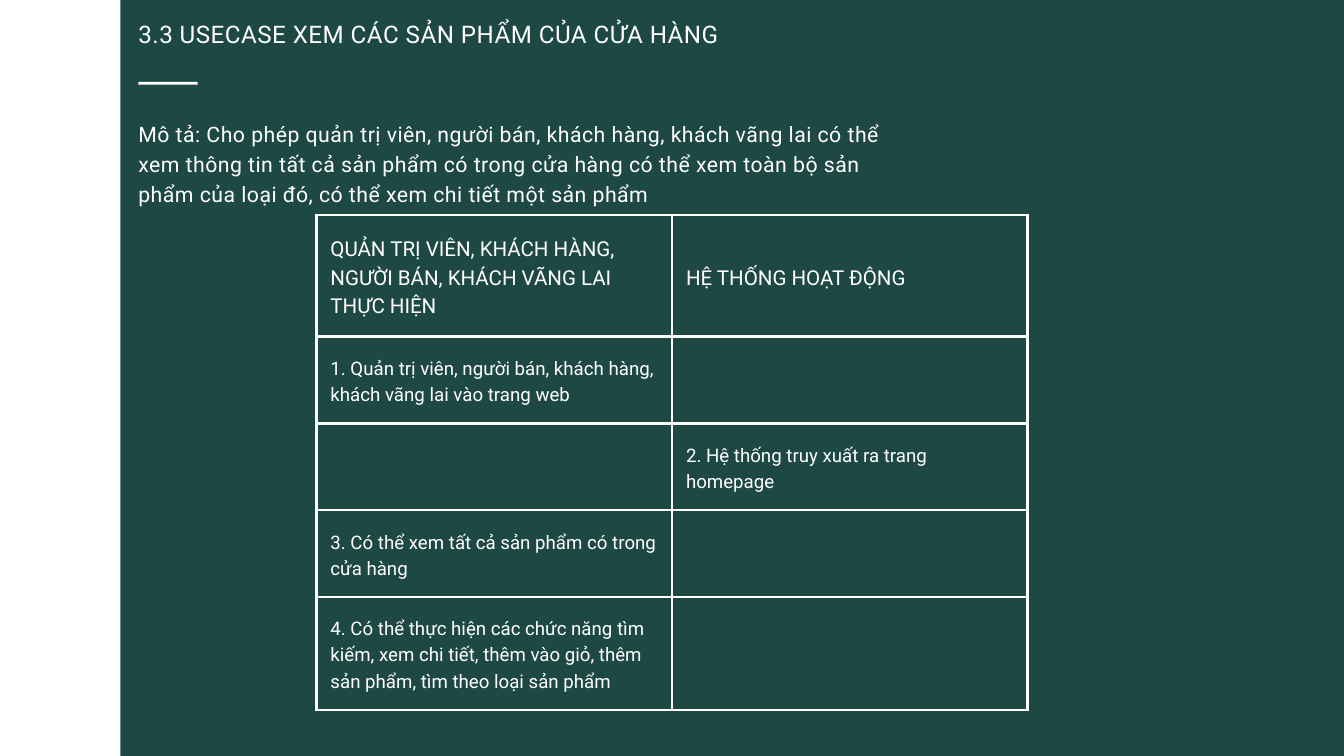
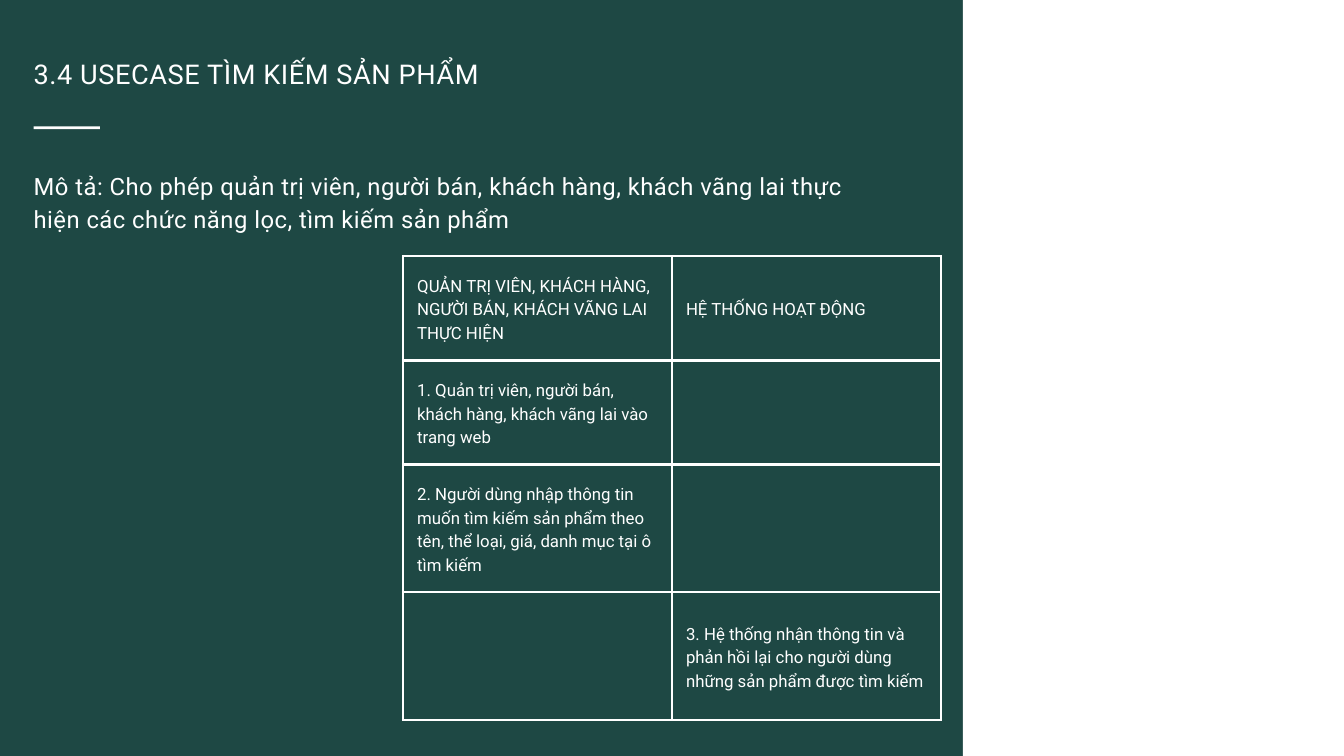
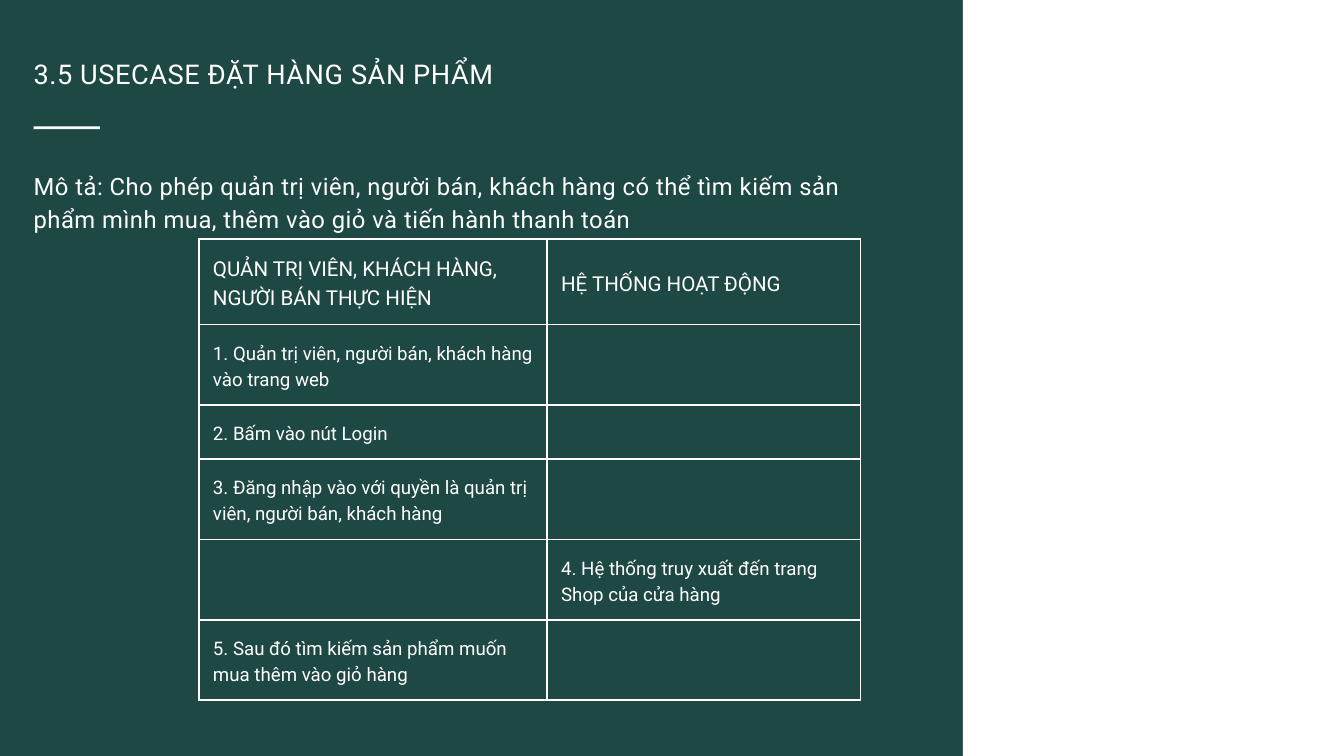
from dataclasses import dataclass

from lxml.etree import SubElement
from pptx import Presentation
from pptx.dml.color import RGBColor
from pptx.enum.shapes import MSO_SHAPE as Preset
from pptx.enum.text import MSO_ANCHOR as Anchor, MSO_AUTO_SIZE as AutoSize, PP_ALIGN as Align
from pptx.oxml.ns import qn
from pptx.util import Cm, Pt

# Shared look
GREEN = "1E4844"
WHITE = "FFFFFF"
FONT = "Roboto"
LEADING = 1.4
PAGE_WIDTH, PAGE_HEIGHT = 50.8, 28.58
CELL_MARGIN = 0.53
ACTORS = "QUẢN TRỊ VIÊN, KHÁCH HÀNG, NGƯỜI BÁN"
SYSTEM_HEADING = "HỆ THỐNG HOẠT ĐỘNG"


@dataclass
class Arrangement:
    """Where the white band and the heading block sit, in centimetres."""
    band_left: float
    band_width: float
    text_left: float
    text_width: float
    title_top: float
    title_height: float
    title_size: float
    title_tracking: float
    rule_top: float
    rule_width: float
    body_top: float
    body_height: float
    body_size: float


BAND_LEFT = Arrangement(0, 4.55, 5.23, 28.12, 0.56, 1.2, 25.9, 0.5,
                        3.1, 2.24, 4.42, 4.37, 22.8)
BAND_RIGHT = Arrangement(36.4, 14.4, 1.27, 31.55, 1.96, 1.32, 29.1, 0.6,
                         4.78, 2.51, 6.3, 3.63, 25.5)


def color(value):
    return RGBColor.from_string(value)


def write(frame, text, size, tracking=0.0):
    """Put one left-aligned paragraph of white text into a text frame."""
    para = frame.paragraphs[0]
    properties = para._p.get_or_add_pPr()
    properties.set("marL", "0")
    properties.set("indent", "0")
    SubElement(properties, qn("a:buNone"))
    para.alignment = Align.LEFT
    para.line_spacing = Pt(size * LEADING)
    para.space_before = Pt(0)
    span = para.add_run()
    span.text = text
    span.font.name = FONT
    span.font.size = Pt(size)
    span.font.color.rgb = color(WHITE)
    if tracking:
        span._r.get_or_add_rPr().set("spc", str(round(tracking * 100)))


def fill_placeholder(box, left, top, width, height, text, size, tracking):
    box.left, box.top = Cm(left), Cm(top)
    box.width, box.height = Cm(width), Cm(height)
    frame = box.text_frame
    frame.margin_left = frame.margin_right = frame.margin_top = frame.margin_bottom = 0
    frame.vertical_anchor = Anchor.TOP
    frame.word_wrap = True
    frame.auto_size = AutoSize.NONE
    write(frame, text, size, tracking)


def add_white_bar(page, left, top, width, height):
    bar = page.shapes.add_shape(Preset.RECTANGLE, Cm(left), Cm(top), Cm(width), Cm(height))
    bar.shadow.inherit = False
    bar.fill.solid()
    bar.fill.fore_color.rgb = color(WHITE)
    bar.line.fill.background()


def add_page(deck, arrangement, title, description):
    """Add a slide with its band, title, rule and description."""
    page = deck.slides.add_slide(deck.slide_layouts[1])
    look = arrangement
    add_white_bar(page, look.band_left, 0, look.band_width, PAGE_HEIGHT)
    add_white_bar(page, look.text_left, look.rule_top, look.rule_width, 0.1)
    fill_placeholder(page.shapes.title, look.text_left, look.title_top, look.text_width,
                     look.title_height, title, look.title_size, look.title_tracking)
    fill_placeholder(page.placeholders[1], look.text_left, look.body_top, look.text_width,
                     look.body_height, description, look.body_size, 0.5)
    return page


def outline_cell(cell, weight):
    properties = cell._tc.get_or_add_tcPr()
    for side in ("a:lnL", "a:lnR", "a:lnT", "a:lnB"):
        line = SubElement(properties, qn(side), w=str(Pt(weight)))
        fill = SubElement(line, qn("a:solidFill"))
        SubElement(fill, qn("a:srgbClr"), val=WHITE)
    cell.fill.background()


def add_steps_table(page, left, top, widths, heights, heading, steps,
                    heading_size, step_size, weight):
    """Add a table of steps; each step is (column, text)."""
    table = page.shapes.add_table(len(heights), len(widths), Cm(left), Cm(top),
                                  Cm(sum(widths)), Cm(sum(heights))).table
    table.first_row = table.horz_banding = False
    for column, width in zip(table.columns, widths):
        column.width = Cm(width)
    for row, height in zip(table.rows, heights):
        row.height = Cm(height)
    for cell in table.iter_cells():
        outline_cell(cell, weight)
        cell.vertical_anchor = Anchor.MIDDLE
        cell.margin_left = cell.margin_right = Cm(CELL_MARGIN)
        cell.margin_top = cell.margin_bottom = Cm(CELL_MARGIN)
    for column, text in enumerate((heading, SYSTEM_HEADING)):
        write(table.cell(0, column).text_frame, text, heading_size)
    for row, (column, text) in enumerate(steps, start=1):
        write(table.cell(row, column).text_frame, f"{row}. {text}", step_size)


def main():
    deck = Presentation()
    deck.slide_width, deck.slide_height = Cm(PAGE_WIDTH), Cm(PAGE_HEIGHT)
    backdrop = deck.slide_master.background.fill
    backdrop.solid()
    backdrop.fore_color.rgb = color(GREEN)

    # Viewing products
    page = add_page(
        deck, BAND_LEFT, "3.3 USECASE XEM CÁC SẢN PHẨM CỦA CỬA HÀNG",
        "Mô tả: Cho phép quản trị viên, người bán, khách hàng, khách vãng lai có thể xem "
        "thông tin tất cả sản phẩm có trong cửa hàng có thể xem toàn bộ sản phẩm của loại "
        "đó, có thể xem chi tiết một sản phẩm")
    add_steps_table(
        page, 11.96, 8.13, [13.44] * 2, [4.6] + [3.28] * 3 + [4.27],
        f"{ACTORS}, KHÁCH VÃNG LAI THỰC HIỆN",
        [(0, "Quản trị viên, người bán, khách hàng, khách vãng lai vào trang web"),
         (1, "Hệ thống truy xuất ra trang homepage"),
         (0, "Có thể xem tất cả sản phẩm có trong cửa hàng"),
         (0, "Có thể thực hiện các chức năng tìm kiếm, xem chi tiết, thêm vào giỏ, "
             "thêm sản phẩm, tìm theo loại sản phẩm")],
        heading_size=22, step_size=20, weight=3)

    # Searching for products
    page = add_page(
        deck, BAND_RIGHT, "3.4 USECASE TÌM KIẾM SẢN PHẨM",
        "Mô tả: Cho phép quản trị viên, người bán, khách hàng, khách vãng lai thực hiện "
        "các chức năng lọc, tìm kiếm sản phẩm")
    add_steps_table(
        page, 15.24, 9.68, [10.16] * 2, [3.94] * 2 + [4.83] * 2,
        f"{ACTORS}, KHÁCH VÃNG LAI THỰC HIỆN",
        [(0, "Quản trị viên, người bán, khách hàng, khách vãng lai vào trang web"),
         (0, "Người dùng nhập thông tin muốn tìm kiếm sản phẩm theo tên, thể loại, giá, "
             "danh mục tại ô tìm kiếm"),
         (1, "Hệ thống nhận thông tin và phản hồi lại cho người dùng những sản phẩm "
             "được tìm kiếm")],
        heading_size=18, step_size=18, weight=3)

    # Ordering products
    page = add_page(
        deck, BAND_RIGHT, "3.5 USECASE ĐẶT HÀNG SẢN PHẨM",
        "Mô tả: Cho phép quản trị viên, người bán, khách hàng có thể tìm kiếm sản phẩm "
        "mình mua, thêm vào giỏ và tiến hành thanh toán")
    add_steps_table(
        page, 7.52, 9.04, [13.16, 11.84], [3.1, 2.9, 2.03] + [2.9] * 3,
        f"{ACTORS} THỰC HIỆN",
        [(0, "Quản trị viên, người bán, khách hàng vào trang web"),
         (0, "Bấm vào nút Login"),
         (0, "Đăng nhập vào với quyền là quản trị viên, người bán, khách hàng"),
         (1, "Hệ thống truy xuất đến trang Shop của cửa hàng"),
         (0, "Sau đó tìm kiếm sản phẩm muốn mua thêm vào giỏ hàng")],
        heading_size=22, step_size=20, weight=2)

    deck.save("out.pptx")


if __name__ == "__main__":
    main()
